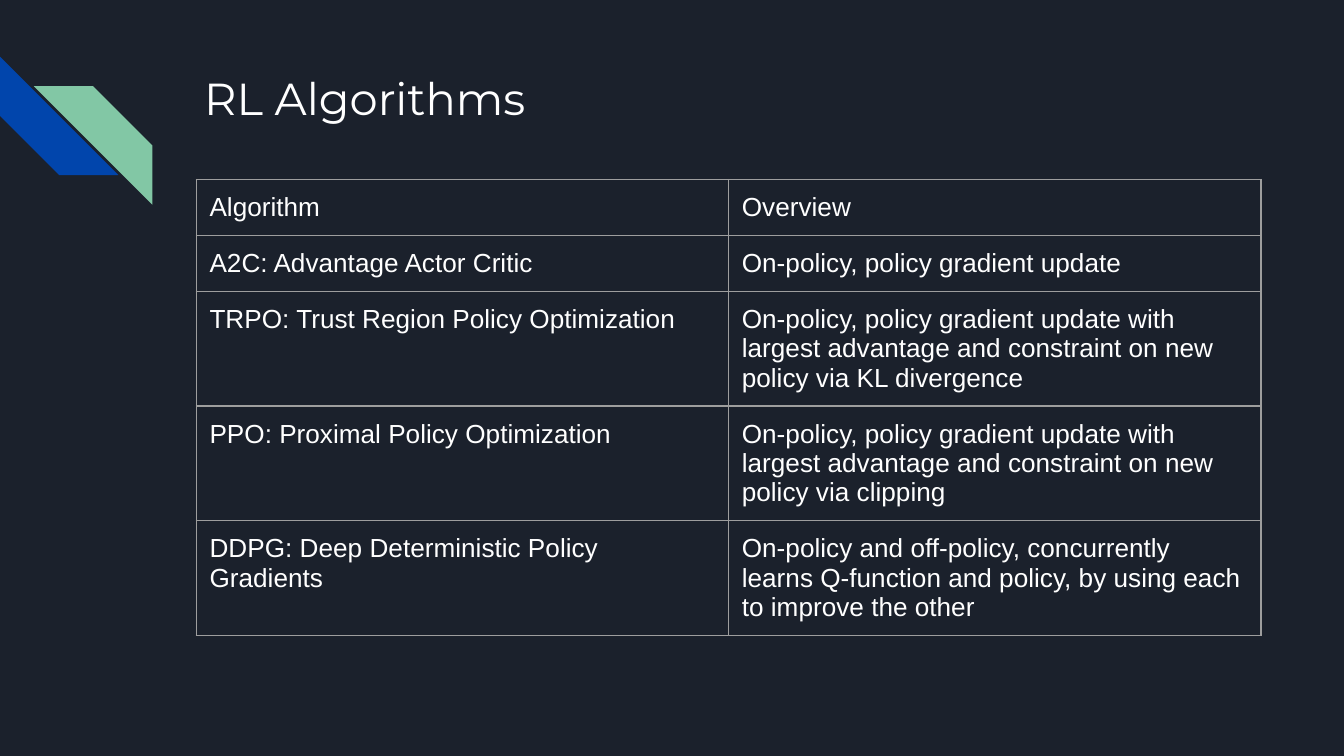
"""Build a slide with a table of reinforcement learning algorithms."""
from typing import NamedTuple

from lxml import etree
from pptx import Presentation
from pptx import util as u
from pptx.dml.color import RGBColor
from pptx.enum import shapes, text
from pptx.oxml.ns import qn

NAVY = RGBColor(0x1B, 0x21, 0x2C)
BLUE = RGBColor(0x01, 0x45, 0xAC)
GREEN = RGBColor(0x82, 0xC7, 0xA5)
WHITE = RGBColor(0xFF, 0xFF, 0xFF)
GREY = RGBColor(0x9E, 0x9E, 0x9E)

MARGIN = u.Cm(0.25)
STRIPE_SIZE = u.Cm(2.24)
ROW_HEIGHT = u.Cm(1.06)
BORDER = u.Pt(0.75)


class Stripe(NamedTuple):
    left: float
    top: float
    rotation: int
    color: RGBColor


class Algorithm(NamedTuple):
    name: str
    overview: str


STRIPES = [Stripe(0, 1.07, 270, BLUE), Stripe(0.64, 1.63, 90, GREEN)]

CONSTRAINED = (
    "On-policy, policy gradient update with largest advantage "
    "and constraint on new policy via "
)
ROWS = [
    Algorithm("Algorithm", "Overview"),
    Algorithm("A2C: Advantage Actor Critic", "On-policy, policy gradient update"),
    Algorithm("TRPO: Trust Region Policy Optimization", CONSTRAINED + "KL divergence"),
    Algorithm("PPO: Proximal Policy Optimization", CONSTRAINED + "clipping"),
    Algorithm(
        "DDPG: Deep Deterministic Policy Gradients",
        "On-policy and off-policy, concurrently learns Q-function and policy, "
        "by using each to improve the other",
    ),
]


def draw_stripe(s, stripe: Stripe) -> None:
    sp = s.shapes.add_shape(
        shapes.MSO_SHAPE.DIAGONAL_STRIPE,
        u.Cm(stripe.left), u.Cm(stripe.top), STRIPE_SIZE, STRIPE_SIZE,
    )
    sp.rotation = stripe.rotation
    sp.shadow.inherit = False
    sp.fill.solid()
    sp.fill.fore_color.rgb = stripe.color
    sp.line.fill.background()


def format_text(p, font: str, size: int) -> None:
    p.alignment = text.PP_ALIGN.LEFT
    for r in p.runs:
        r.font.name = font
        r.font.size = u.Pt(size)
        r.font.color.rgb = WHITE


def set_margins(box) -> None:
    box.margin_left = box.margin_right = MARGIN
    box.margin_top = box.margin_bottom = MARGIN


def draw_title(s, title: str) -> None:
    sp = s.shapes.title
    sp.left, sp.top, sp.width, sp.height = u.Cm(3.61), u.Cm(1.09), u.Cm(19.56), u.Cm(2.54)
    tf = sp.text_frame
    tf.text = title
    tf.word_wrap = True
    tf.auto_size = text.MSO_AUTO_SIZE.NONE
    tf.vertical_anchor = text.MSO_ANCHOR.TOP
    set_margins(tf)
    format_text(tf.paragraphs[0], "Montserrat", 24)


def add_borders(cell) -> None:
    props = cell._tc.get_or_add_tcPr()
    for side in ("lnL", "lnR", "lnT", "lnB"):
        ln = etree.SubElement(props, qn(f"a:{side}"), w=str(int(BORDER)))
        fill = etree.SubElement(ln, qn("a:solidFill"))
        etree.SubElement(fill, qn("a:srgbClr"), val=str(GREY))


def draw_table(s, rows: list[Algorithm]) -> None:
    table = s.shapes.add_table(
        len(rows), len(Algorithm._fields),
        u.Cm(3.71), u.Cm(3.39), u.Cm(20.12), ROW_HEIGHT * len(rows),
    ).table
    table.first_row = False
    table.horz_banding = False
    for i, row in enumerate(rows):
        for j, words in enumerate(row):
            cell = table.cell(i, j)
            cell.text_frame.text = words
            set_margins(cell)
            add_borders(cell)
            cell.fill.background()
            format_text(cell.text_frame.paragraphs[0], "Arial", 14)


def main() -> None:
    prs = Presentation()
    prs.slide_width, prs.slide_height = u.Cm(25.4), u.Cm(14.29)
    s = prs.slides.add_slide(prs.slide_layouts[5])
    s.background.fill.solid()
    s.background.fill.fore_color.rgb = NAVY
    for stripe in STRIPES:
        draw_stripe(s, stripe)
    draw_title(s, "RL Algorithms")
    draw_table(s, ROWS)
    prs.save("out.pptx")


if __name__ == "__main__":
    main()
